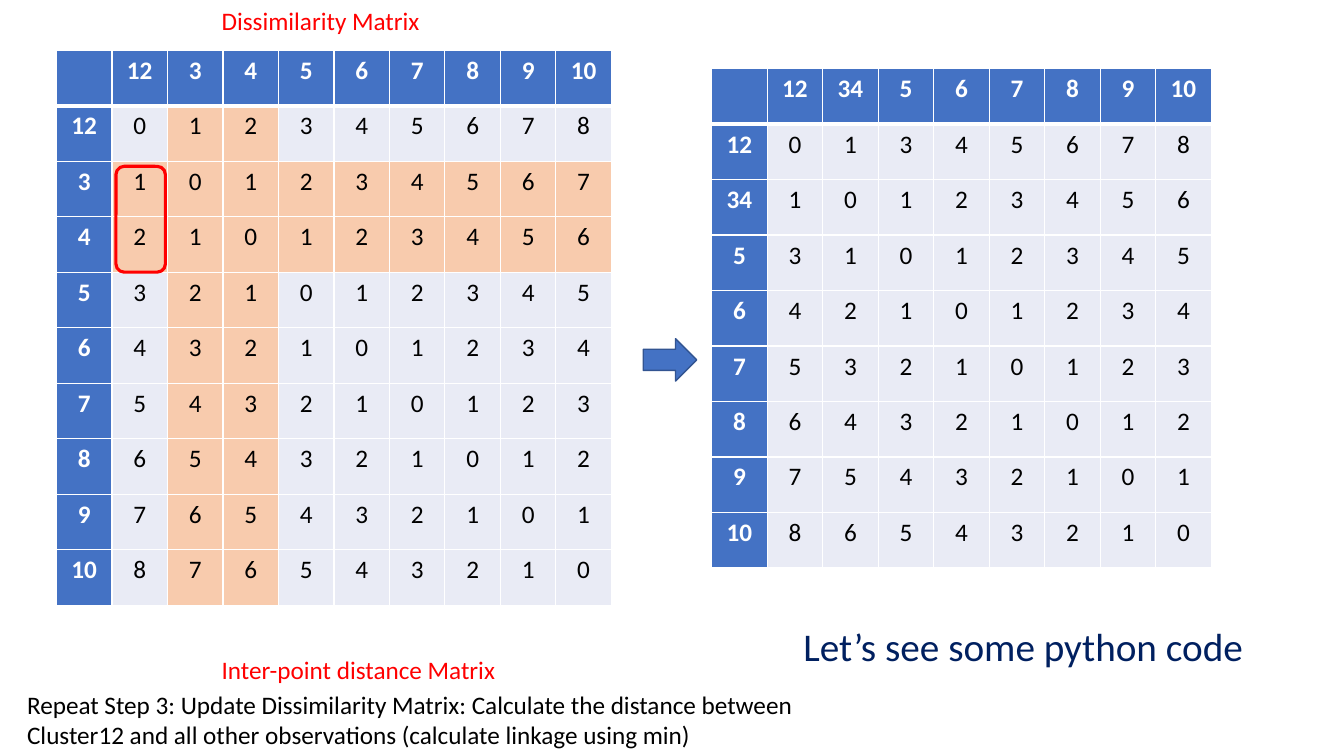
from dataclasses import dataclass

from lxml import etree
from pptx import Presentation
from pptx.dml.color import RGBColor
from pptx.enum.shapes import MSO_SHAPE
from pptx.enum.text import PP_ALIGN
from pptx.oxml.ns import qn
from pptx.util import Inches, Pt

CENTER, LEFT = PP_ALIGN.CENTER, PP_ALIGN.LEFT
RIGHT_ARROW, ROUND_RECT = MSO_SHAPE.RIGHT_ARROW, MSO_SHAPE.ROUNDED_RECTANGLE


@dataclass(frozen=True)
class Theme:
    font: str = "Calibri"
    body: int = 18
    large: int = 28
    black: str = "000000"
    white: str = "FFFFFF"
    red: str = "FF0000"
    navy: str = "002060"
    blue: str = "4472C4"
    outline: str = "325491"
    pale: str = "E9EBF5"
    peach: str = "F8CBAD"
    thin: float = 1
    marker: float = 2.25
    thick: float = 3


class Deck:
    def __init__(self, theme):
        self.theme = theme
        self.prs = Presentation()
        self.prs.slide_width, self.prs.slide_height = Inches(13.33), Inches(7.5)
        self.s = self.prs.slides.add_slide(self.prs.slide_layouts[6])

    def box(self, x, y, w, h):
        width, height = self.prs.slide_width, self.prs.slide_height
        return [int(share * size / 100) for share, size in
                ((x, width), (y, height), (w, width), (h, height))]

    def add_text(self, tf, text, color, size, bold=False, align=LEFT):
        p = tf.paragraphs[0]
        p.alignment = align
        r = p.add_run()
        r.text = text
        values = {"name": self.theme.font, "size": Pt(size), "bold": bold}
        for name, value in values.items():
            setattr(r.font, name, value)
        r.font.color.rgb = RGBColor.from_string(color)

    def text(self, place, text, color, size):
        tf = self.s.shapes.add_textbox(*self.box(*place)).text_frame
        tf.word_wrap = True
        self.add_text(tf, text, color, size)

    def shape(self, kind, place, line, width, fill=None):
        sp = self.s.shapes.add_shape(kind, *self.box(*place))
        sp.shadow.inherit = False
        if fill:
            sp.fill.solid()
            sp.fill.fore_color.rgb = RGBColor.from_string(fill)
        else:
            sp.fill.background()
        sp.line.color.rgb = RGBColor.from_string(line)
        sp.line.width = Pt(width)

    def borders(self, cell, widths):
        tcPr = cell._tc.get_or_add_tcPr()
        for side, width in widths.items():
            ln = etree.SubElement(tcPr, qn(f"a:ln{side}"), w=str(Pt(width)))
            fill = etree.SubElement(ln, qn("a:solidFill"))
            etree.SubElement(fill, qn("a:srgbClr"), val=self.theme.white)

    def cell(self, cell, text, fill, color, bold, widths):
        self.borders(cell, widths)
        cell.fill.solid()
        cell.fill.fore_color.rgb = RGBColor.from_string(fill)
        if text:
            self.add_text(cell.text_frame, text, color, self.theme.body, bold, CENTER)

    def matrix(self, x, y, cell_w, cell_h, clusters, merging=()):
        t = self.theme
        labels = ["".join(map(str, c)) for c in clusters]
        rows = [["", *labels]]
        for label, a in zip(labels, clusters):
            rows.append([label, *(str(linkage(a, b)) for b in clusters)])
        n = len(rows)
        place = self.box(x, y, n * cell_w, n * cell_h)
        table = self.s.shapes.add_table(n, n, *place).table
        table.first_row = table.horz_banding = False
        for i, row in enumerate(rows):
            top = t.thick if i == 1 else t.thin
            bottom = t.thick if i == 0 else t.thin
            widths = {"L": t.thin, "R": t.thin, "T": top, "B": bottom}
            for j, value in enumerate(row):
                header = i == 0 or j == 0
                merged = rows[0][j] in merging or row[0] in merging
                fill = t.blue if header else t.peach if merged else t.pale
                color = t.white if header else t.black
                self.cell(table.cell(i, j), value, fill, color, header, widths)


def linkage(a, b):
    return min(abs(p - q) for p in a for q in b)


theme = Theme()
deck = Deck(theme)
CELL = (4.13, 7.34)
singles = [(n,) for n in range(3, 11)]

deck.text((1.28, 90.53, 65.49, 9.47),
          "Repeat Step 3: Update Dissimilarity Matrix: Calculate the distance between "
          "Cluster12 and all other observations (calculate linkage using min)",
          theme.black, theme.body)
for top, caption in ((0, "Dissimilarity Matrix"),
                     (85.87, "Inter-point distance Matrix")):
    deck.text((15.75, top, 23.86, 5.33), caption, theme.red, theme.body)

deck.matrix(4.2, 6.67, *CELL, [(1, 2), *singles], merging=("3", "4"))
deck.matrix(52.96, 9.07, *CELL, [(1, 2), (3, 4), *singles[2:]])

deck.shape(RIGHT_ARROW, (47.86, 44.8, 3.98, 5.6), theme.outline, theme.thin, theme.blue)
deck.shape(ROUND_RECT, (8.63, 22, 3.68, 14), theme.red, theme.marker)
deck.text((59.04, 81.6, 35.26, 7.6), "Let’s see some python code",
          theme.navy, theme.large)

deck.prs.save("out.pptx")
